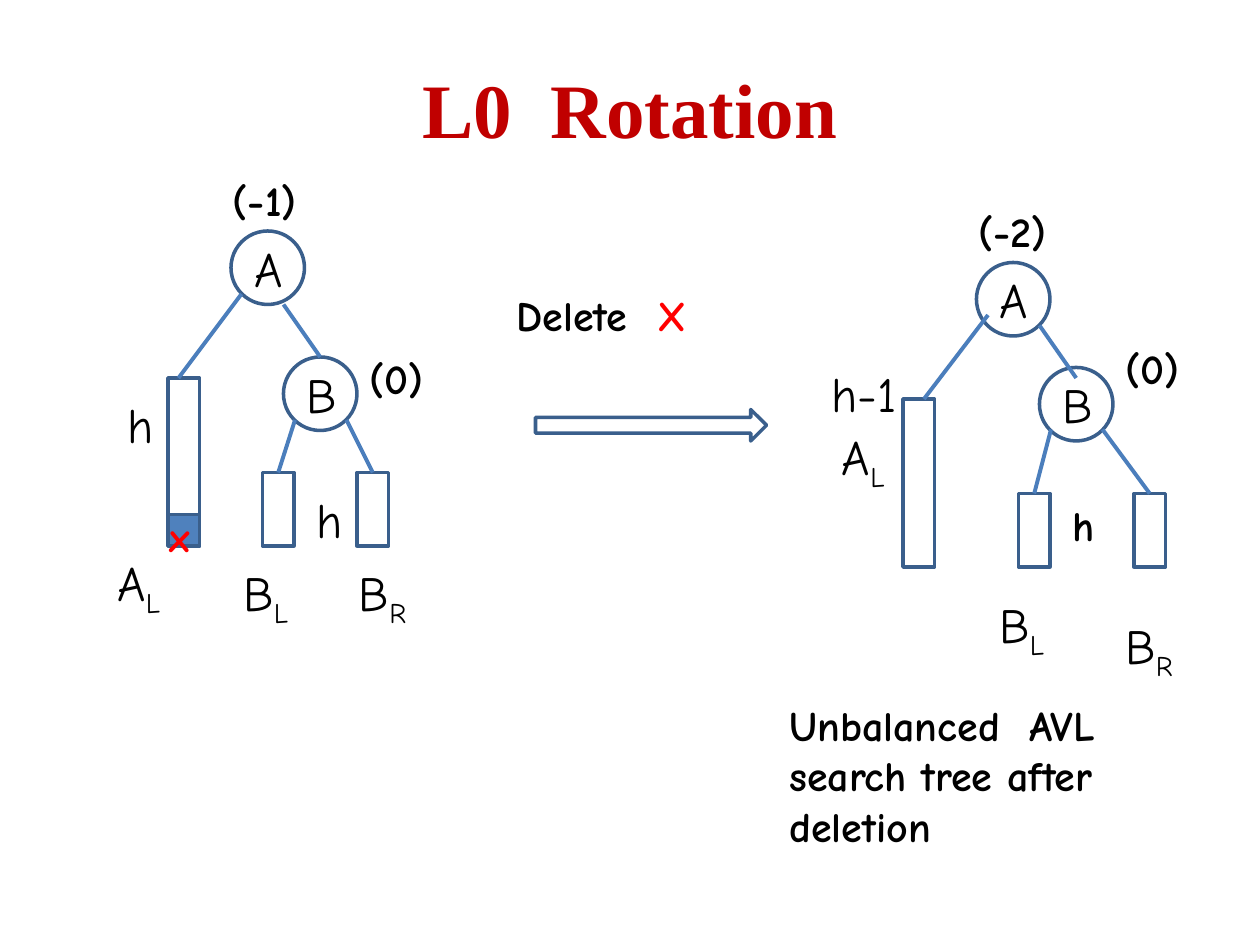
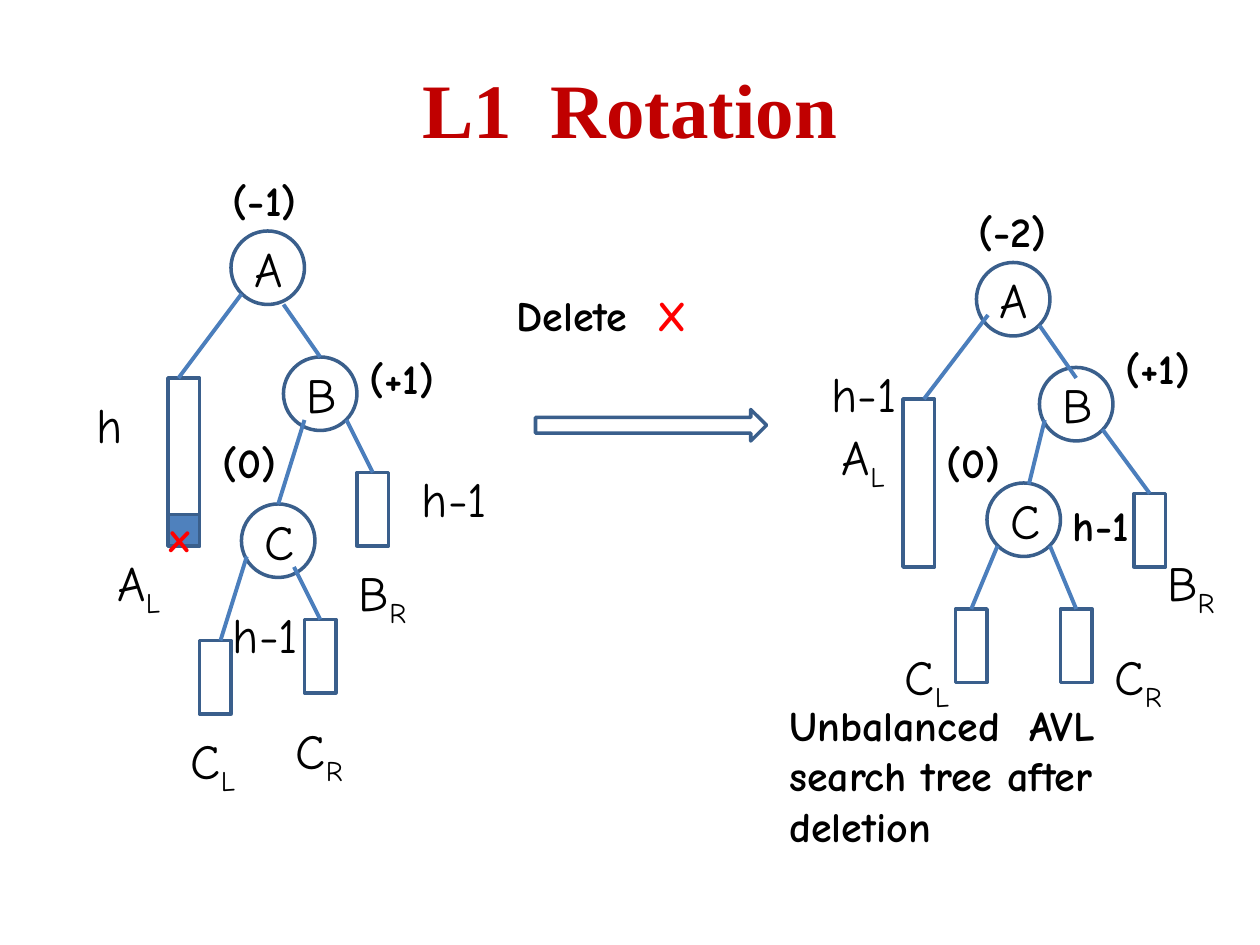
"""Build two slides on deleting from an AVL tree: the L0 and L1 rotations."""
from dataclasses import dataclass

from lxml import etree
from pptx import Presentation
from pptx.dml.color import RGBColor
from pptx.enum.shapes import MSO_CONNECTOR, MSO_SHAPE
from pptx.enum.text import MSO_ANCHOR, MSO_AUTO_SIZE, PP_ALIGN
from pptx.oxml.ns import qn
from pptx.util import Pt

OVAL, RECT, ARROW = MSO_SHAPE.OVAL, MSO_SHAPE.RECTANGLE, MSO_SHAPE.RIGHT_ARROW
STRAIGHT = MSO_CONNECTOR.STRAIGHT
MIDDLE = MSO_ANCHOR.MIDDLE
GROW = MSO_AUTO_SIZE.SHAPE_TO_FIT_TEXT
CENTER = PP_ALIGN.CENTER
PX = 7620


@dataclass(frozen=True)
class Theme:
    """Colours, fonts, type sizes and line widths."""
    title: str = "C00000"
    ink: str = "000000"
    red: str = "FF0000"
    fill: str = "4F81BD"
    outline: str = "3A5F8C"
    edge: str = "4B7EBC"
    title_font: str = "Times New Roman"
    font: str = "Comic Neue"
    title_size: int = 44
    name_size: int = 28
    note_size: int = 24
    outline_width: float = 2
    edge_width: float = 2.25


T = Theme()
NODE, BAR_W, BAR_H, TALL_H = 70, 30, 70, 160
NAME_H, NOTE_H = 68, 60

TITLE_BOX = (60, 36, 1080, 134)
DELETED_BOX = (160, 490, 30, 30)
ARROW_BOX = (510, 390, 220, 30)
DELETE_BOX = (480, 270, 260, NOTE_H)
MARK_BOX = (150, 480, 60, NOTE_H)
CAPTION_BOX = (740, 660, 380, 157)
CAPTION = "Unbalanced  AVL search tree after deletion"

BEFORE = {
    "nodes": [("A", 220, 220), ("B", 270, 340)],
    "bars": [(160, 360, TALL_H), (340, 450, BAR_H)],
    "edges": [(230, 280, 170, 360), (270, 290, 305, 340), (330, 400, 355, 450)],
    "names": [("A_L", 100, 520, 100), ("B_R", 330, 530, 100)],
    "notes": [("(-1)", 210, 160, 150)],
}
AFTER = {
    "nodes": [("A", 930, 250), ("B", 990, 350)],
    "bars": [(860, 380, TALL_H), (1080, 470, BAR_H)],
    "edges": [(941, 300, 880, 380), (990, 310, 1025, 360), (1050, 409, 1095, 470)],
    "names": [("A_L", 790, 400, 100), ("h-1", 780, 340, 100)],
    "notes": [("(-2)", 920, 190, 150)],
}
SLIDES = [
    ("L0  Rotation",
     {"bars": [(250, 450, BAR_H)],
      "edges": [(281, 400, 265, 450)],
      "names": [("B_L", 220, 530, 100), ("h", 290, 460, 40), ("h", 110, 370, 40)],
      "notes": [("(0)", 340, 330, 80)]},
     {"bars": [(970, 470, BAR_H)],
      "edges": [(1001, 409, 985, 470)],
      "names": [("B_L", 940, 560, 100), ("B_R", 1060, 580, 100)],
      "notes": [("(0)", 1060, 320, 110), ("h", 1010, 470, 60)]}),
    ("L1  Rotation",
     {"nodes": [("C", 230, 480)],
      "bars": [(190, 610, BAR_H), (290, 590, BAR_H)],
      "edges": [(290, 400, 265, 480), (235, 530, 210, 610), (280, 540, 305, 590)],
      "names": [("C_L", 170, 690, 100), ("C_R", 270, 680, 100), ("h", 80, 370, 100),
                ("h-1", 390, 440, 140), ("h-1", 210, 570, 100)],
      "notes": [("(+1)", 340, 330, 110), ("(0)", 200, 410, 80)]},
     {"nodes": [("C", 940, 460)],
      "bars": [(910, 580, BAR_H), (1010, 580, BAR_H)],
      "edges": [(995, 400, 980, 461), (950, 520, 925, 580), (1000, 520, 1025, 580)],
      "names": [("C_L", 850, 610, 100), ("C_R", 1050, 610, 100), ("B_R", 1100, 520, 100)],
      "notes": [("(+1)", 1060, 320, 110), ("(0)", 890, 410, 110), ("h-1", 1010, 470, 130)]}),
]


def emu(box):
    return [v * PX for v in box]


def rgb(value):
    return RGBColor.from_string(value)


def add_run(p, text, size, bold=False, color=T.ink, font=T.font):
    r = p.add_run()
    r.text = text
    r.font.name, r.font.size, r.font.bold = font, Pt(size), bold
    r.font.color.rgb = rgb(color)
    return r


def add_box(shapes, box):
    tf = shapes.add_textbox(*emu(box)).text_frame
    tf.word_wrap = True
    tf.auto_size = GROW
    return tf.paragraphs[0]


def add_note(shapes, text, box, color=T.ink):
    p = add_box(shapes, box)
    add_run(p, text, T.note_size, True, color)
    return p


def add_name(shapes, text, box):
    p = add_box(shapes, box)
    base, _, sub = text.partition("_")
    add_run(p, base, T.name_size)
    if sub:
        r = add_run(p, sub, T.name_size)
        r._r.get_or_add_rPr().set("baseline", "-25000")


def add_outline(shapes, kind, box, fill=None):
    sp = shapes.add_shape(kind, *emu(box))
    sp.shadow.inherit = False
    if fill:
        sp.fill.solid()
        sp.fill.fore_color.rgb = rgb(fill)
    else:
        sp.fill.background()
    sp.line.color.rgb = rgb(T.outline)
    sp.line.width = Pt(T.outline_width)
    return sp


def add_edge(shapes, ends):
    line = shapes.add_connector(STRAIGHT, *emu(ends))
    line.line.color.rgb = rgb(T.edge)
    line.line.width = Pt(T.edge_width)
    etree.SubElement(line._element.spPr, qn("a:effectLst"))


def add_tree(shapes, shared, extra):
    tree = {part: items + extra.get(part, []) for part, items in shared.items()}
    for text, x, y in tree["nodes"]:
        tf = add_outline(shapes, OVAL, (x, y, NODE, NODE)).text_frame
        tf.vertical_anchor = MIDDLE
        p = tf.paragraphs[0]
        p.alignment = CENTER
        add_run(p, text, T.name_size)
    for x, y, h in tree["bars"]:
        add_outline(shapes, RECT, (x, y, BAR_W, h))
    for ends in tree["edges"]:
        add_edge(shapes, ends)
    for text, x, y, w in tree["names"]:
        add_name(shapes, text, (x, y, w, NAME_H))
    for text, x, y, w in tree["notes"]:
        add_note(shapes, text, (x, y, w, NOTE_H))


def add_title(shapes, text):
    tf = shapes.add_textbox(*emu(TITLE_BOX)).text_frame
    tf.word_wrap = True
    tf.vertical_anchor = MIDDLE
    p = tf.paragraphs[0]
    p.alignment = CENTER
    add_run(p, text, T.title_size, True, T.title, T.title_font)


def add_rotation(prs, title, before, after):
    shapes = prs.slides.add_slide(prs.slide_layouts[6]).shapes
    add_outline(shapes, RECT, DELETED_BOX, T.fill)
    add_title(shapes, title)
    add_tree(shapes, BEFORE, before)
    add_note(shapes, "x", MARK_BOX, T.red)
    add_outline(shapes, ARROW, ARROW_BOX)
    p = add_note(shapes, "Delete  ", DELETE_BOX)
    add_run(p, "X", T.note_size, True, T.red)
    result = shapes.add_group_shape().shapes
    add_tree(result, AFTER, after)
    add_note(result, CAPTION, CAPTION_BOX)


def main():
    prs = Presentation()
    prs.slide_width, prs.slide_height = emu((1200, 900))
    for title, before, after in SLIDES:
        add_rotation(prs, title, before, after)
    prs.save("out.pptx")


if __name__ == "__main__":
    main()
